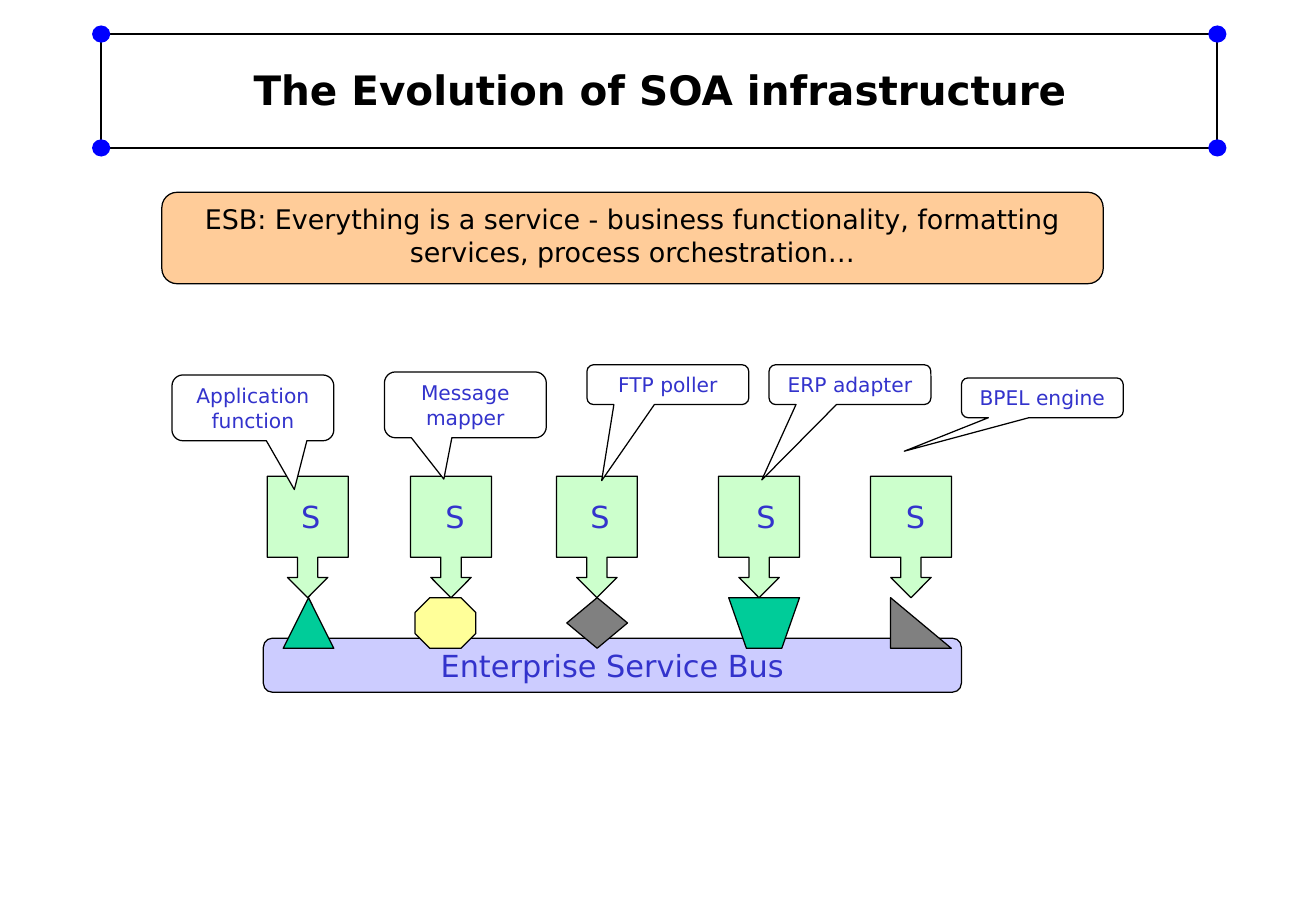
from pptx import Presentation
from pptx.dml.color import RGBColor
from pptx.enum.shapes import MSO_SHAPE as Preset
from pptx.enum.text import MSO_ANCHOR as Anchor, PP_ALIGN as Align
from pptx.util import Pt

TITLE = "The Evolution of SOA infrastructure"
BANNER = ("ESB: Everything is a service - business functionality, "
          "formatting services, process orchestration…")
BUS = "Enterprise Service Bus"
SERVICE = "S"

THEME = {
    "font": "DejaVu Sans",
    "ink": "000000", "text": "3333CC", "dot": "0000FF",
    "banner": "FFCC99", "bus": "CCCCFF", "service": "CCFFCC", "bubble": "FFFFFF",
    "green": "00CC99", "yellow": "FFFF99", "gray": "808080",
    "title_size": 24, "banner_size": 16, "service_size": 18, "bubble_size": 12,
    "frame_line": 1.25, "line": 0.75,
}

# Bubble: label, left, top, height, pointer offset; then service left, letter left;
# joint: preset (None is the trapezoid), left, width, colour.
SERVICES = [
    (("Application function", 102, 222.3, 39, (0.256, 1.241)), 158.5, 171.5,
     (Preset.ISOSCELES_TRIANGLE, 168, 30, "green")),
    (("Message mapper", 228, 220.5, 39, (-0.133, 1.129)), 243.5, 257,
     (Preset.OCTAGON, 246.2, 36, "yellow")),
    (("FTP poller", 348.1, 216.2, 23.6, (-0.409, 2.411)), 330, 343,
     (Preset.DIAMOND, 336.2, 36, "gray")),
    (("ERP adapter", 456.1, 216.2, 23.6, (-0.545, 2.394)), 426.2, 441.5,
     (None, 432.2, 42, "green")),
    (("BPEL engine", 570.2, 224, 23.6, (-0.853, 1.341)), 516.3, 530.2,
     (Preset.RIGHT_TRIANGLE, 528.2, 36, "gray")),
]

SLIDE_SIZE = (780.48, 540)
FRAME = (60, 20.2, 662, 67.5)
DOT_SIZE = (10.8, 10.2)
BUBBLE_WIDTH = 96
SERVICE_TOP, SERVICE_SIZE = 282.3, (48, 72)
LETTER_TOP, LETTER_SIZE = 291.8, (24, 29)
JOINT_TOP, JOINT_HEIGHT, JOINT_INSET = 354.3, 30, 10.5


def color(name):
    return RGBColor.from_string(THEME[name])


def write(holder, text, size, ink="text", bold=False, align=Align.CENTER,
          anchor=Anchor.MIDDLE, wrap=True):
    frame = holder.text_frame
    frame.word_wrap = wrap
    frame.vertical_anchor = anchor
    paragraph = frame.paragraphs[0]
    paragraph.alignment = align
    run = paragraph.add_run()
    run.text = text
    run.font.name = THEME["font"]
    run.font.size = Pt(THEME[size])
    run.font.bold = bold
    run.font.color.rgb = color(ink)


def paint(shape, fill=None, line="line"):
    shape.shadow.inherit = False
    if fill:
        shape.fill.solid()
        shape.fill.fore_color.rgb = color(fill)
    else:
        shape.fill.background()
    if line:
        shape.line.color.rgb = color("ink")
        shape.line.width = Pt(THEME[line])
    else:
        shape.line.fill.background()


def add_box(slide, preset, box, fill=None, line="line", adjust=()):
    shape = slide.shapes.add_shape(preset, *map(Pt, box))
    for index, value in enumerate(adjust):
        shape.adjustments[index] = value
    paint(shape, fill, line)
    return shape


def add_text(slide, box, text, size, **style):
    write(slide.shapes.add_textbox(*map(Pt, box)), text, size, **style)


def add_title(slide):
    left, top, width, height = FRAME
    add_box(slide, Preset.RECTANGLE, FRAME, line="frame_line")
    dot_width, dot_height = DOT_SIZE
    for x in (left, left + width):
        for y in (top, top + height):
            add_box(slide, Preset.OVAL,
                    (x - dot_width / 2, y - dot_height / 2, *DOT_SIZE), "dot", None)
    add_text(slide, (65, 26, 653, 54), TITLE, "title_size", ink="ink", bold=True)


def add_joint(slide, preset, left, width, fill):
    """Draw the symbol that plugs a service into the bus."""
    if preset:
        add_box(slide, preset, (left, JOINT_TOP, width, JOINT_HEIGHT), fill)
        return
    right, bottom = left + width, JOINT_TOP + JOINT_HEIGHT
    outline = slide.shapes.build_freeform(Pt(left), Pt(JOINT_TOP))
    corners = [(right, JOINT_TOP), (right - JOINT_INSET, bottom),
               (left + JOINT_INSET, bottom)]
    outline.add_line_segments([(Pt(x), Pt(y)) for x, y in corners], close=True)
    paint(outline.convert_to_shape(), fill)


def add_service(slide, bubble, left, letter_left, joint):
    add_joint(slide, *joint)
    add_box(slide, Preset.DOWN_ARROW_CALLOUT, (left, SERVICE_TOP, *SERVICE_SIZE),
            "service", adjust=(0.25, 0.25, 0.25, 0.667))
    add_text(slide, (letter_left, LETTER_TOP, *LETTER_SIZE), SERVICE, "service_size",
             align=Align.LEFT, anchor=Anchor.TOP, wrap=False)
    label, bubble_left, bubble_top, bubble_height, pointer = bubble
    speech = add_box(slide, Preset.ROUNDED_RECTANGULAR_CALLOUT,
                     (bubble_left, bubble_top, BUBBLE_WIDTH, bubble_height),
                     "bubble", adjust=(*pointer, 0.167))
    write(speech, label, "bubble_size")


def main():
    deck = Presentation()
    deck.slide_width, deck.slide_height = map(Pt, SLIDE_SIZE)
    slide = deck.slides.add_slide(deck.slide_layouts[6])
    add_title(slide)
    banner = add_box(slide, Preset.ROUNDED_RECTANGLE, (96, 114, 558.3, 54.2), "banner",
                     adjust=(0.167,))
    write(banner, BANNER, "banner_size", ink="ink", anchor=Anchor.TOP)
    bus = add_box(slide, Preset.ROUNDED_RECTANGLE, (156.2, 378.3, 414, 32), "bus",
                  adjust=(0.167,))
    write(bus, BUS, "service_size")
    for service in SERVICES:
        add_service(slide, *service)
    deck.save("out.pptx")


if __name__ == "__main__":
    main()
